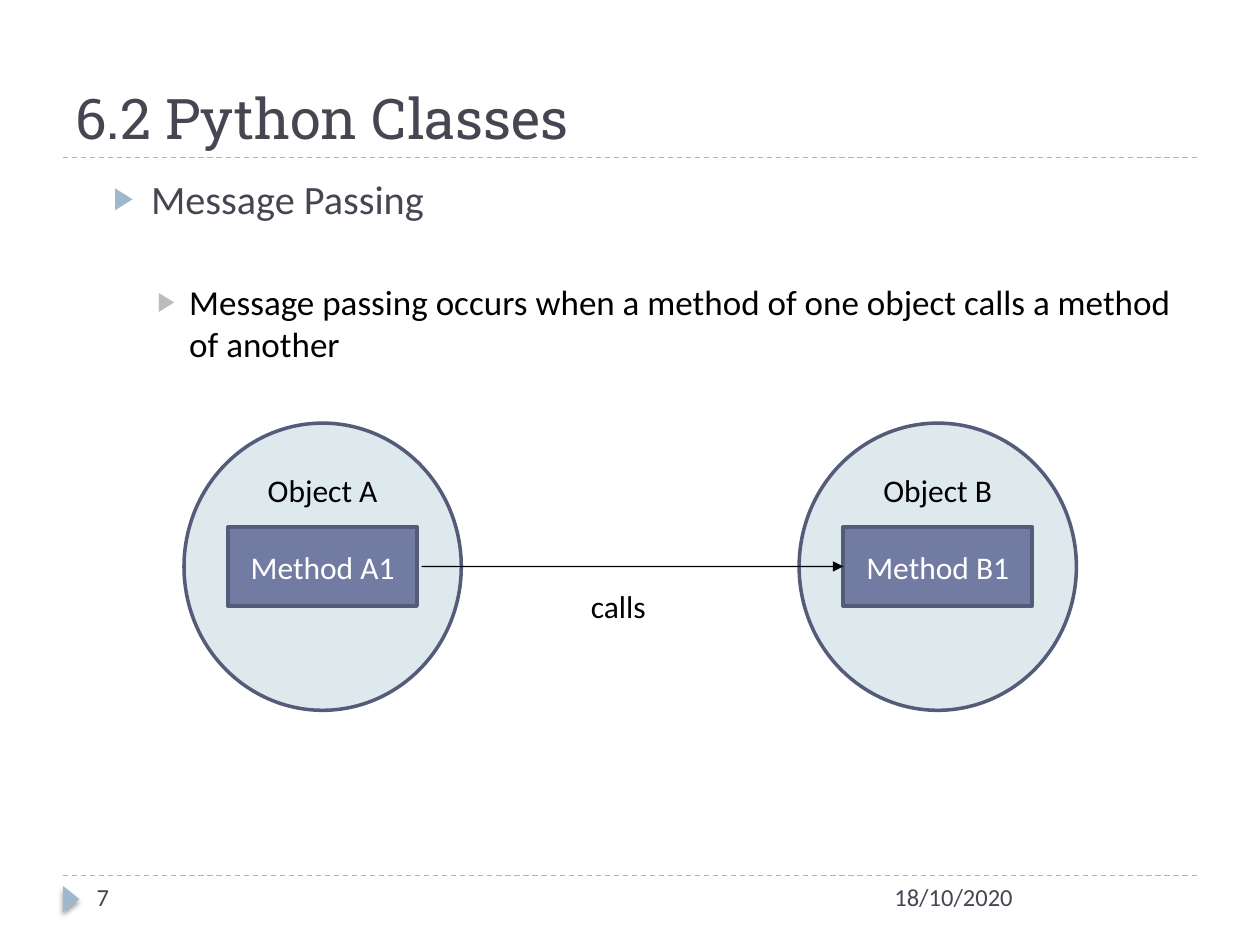
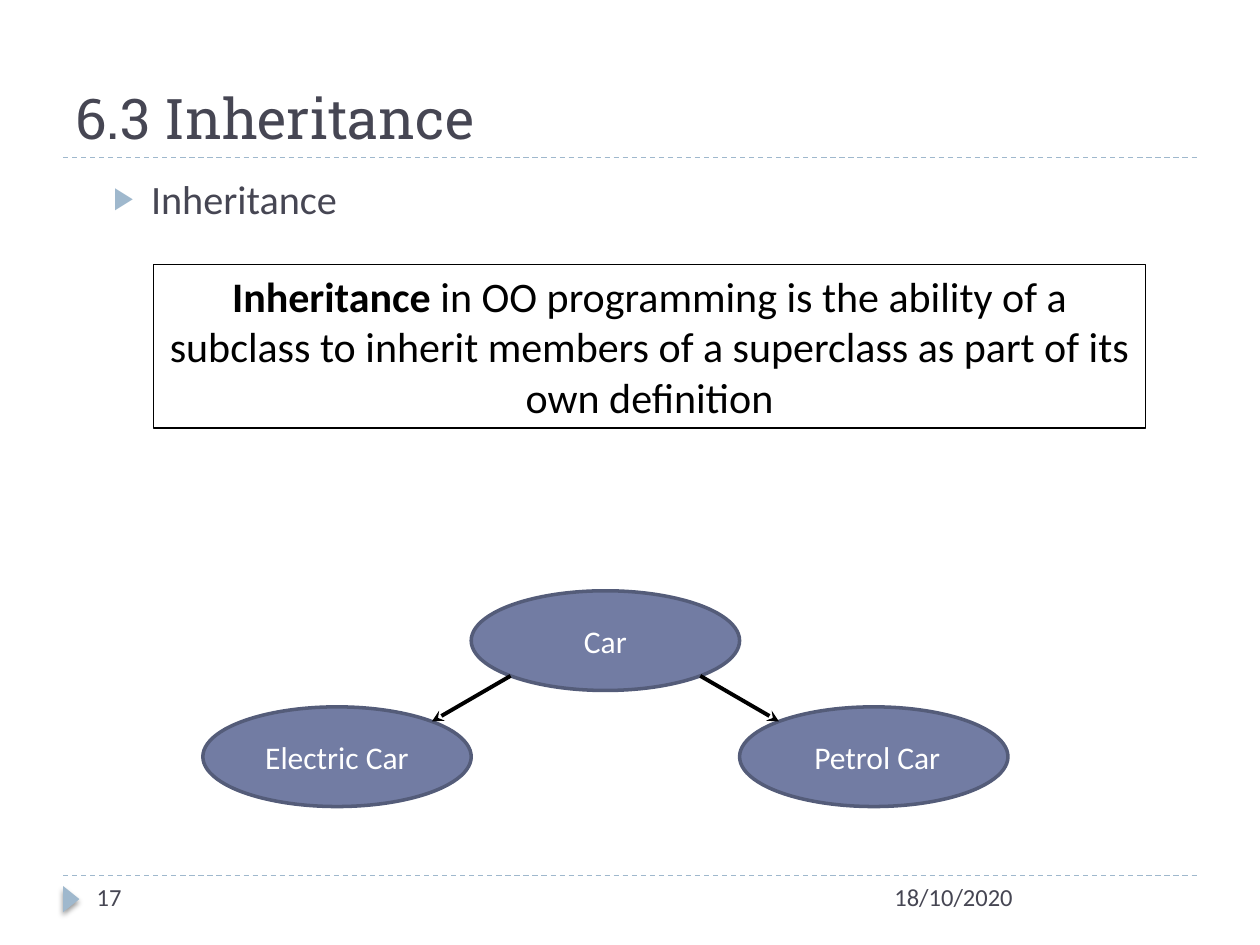
"""Build two lesson slides on message passing and inheritance."""
from dataclasses import dataclass
from math import sqrt

from lxml.etree import SubElement as Sub
from pptx import Presentation
from pptx.dml.color import RGBColor as Rgb
from pptx.enum.dml import MSO_LINE_DASH_STYLE as Dash
from pptx.enum.shapes import MSO_CONNECTOR as Link, MSO_SHAPE as Kind
from pptx.enum.text import MSO_ANCHOR as Anchor, MSO_AUTO_SIZE as Fit, PP_ALIGN as Align
from pptx.oxml.ns import qn
from pptx.util import Cm, Pt


@dataclass(frozen=True)
class Theme:
    head: str = "Roboto Slab"
    text: str = "Calibri"
    ink: str = "464653"
    black: str = "000000"
    white: str = "FFFFFF"
    sky: str = "9FB8CD"
    grey: str = "BCBCBC"
    pale: str = "DDE9EC"
    blue: str = "727CA3"
    edge: str = "545C79"
    title: int = 32
    quote: int = 24
    topic: int = 23
    point: int = 20
    label: int = 18
    foot: int = 14


class Deck:
    def __init__(self, theme):
        self.theme = theme
        self.prs = Presentation()
        self.prs.slide_width, self.prs.slide_height = Cm(25.4), Cm(19.05)
        self.slide = None

    def start(self, title, num):
        t = self.theme
        self.slide = self.prs.slides.add_slide(self.prs.slide_layouts[1])
        for y in (17.65, 3.18):
            self.line((1.27, y), (24.13, y), t.sky, 0.75, dash=Dash.DASH)
        self.mark()
        head = self.slide.shapes.title
        self.place(head, (1.27, 0.43, 22.86, 2.74))
        para = self.frame(head, Anchor.BOTTOM).paragraphs[0]
        para.alignment = Align.LEFT
        self.run(para, title, t.title, t.ink, t.head)
        self.note("18/10/2020", (17.78, 17.65, 6.35, 1.02), t.foot, t.ink)
        self.note(num, (1.7, 17.65, 5.51, 1.02), t.foot, t.ink)

    def place(self, shape, box):
        shape.left, shape.top, shape.width, shape.height = map(Cm, box)

    def frame(self, shape, anchor=Anchor.TOP):
        frame = shape.text_frame
        frame.word_wrap = True
        frame.auto_size = Fit.NONE
        frame.vertical_anchor = anchor
        return frame

    def run(self, para, text, size, color, font=None, bold=False):
        run = para.add_run()
        run.text = text
        run.font.name = font or self.theme.text
        run.font.size = Pt(size)
        run.font.bold = bold
        run.font.color.rgb = Rgb.from_string(color)

    def mark(self):
        tri = self.shape(Kind.ISOSCELES_TRIANGLE, (1.17, 17.96, 0.53, 0.33), self.theme.sky)
        tri.rotation = 90
        glow = Sub(tri.element.spPr.find(qn("a:effectLst")), qn("a:outerShdw"),
                   blurRad=str(Pt(3)), dist=str(Pt(2)), dir="5400000", rotWithShape="0")
        tint = Sub(glow, qn("a:srgbClr"), val=self.theme.black)
        Sub(tint, qn("a:alpha"), val="40000")

    def list(self, items):
        t = self.theme
        body = self.slide.placeholders[1]
        self.place(body, (1.27, 3.38, 22.86, 13.72))
        frame = self.frame(body)
        looks = {1: (1.52, -0.76, t.sky, t.topic, t.ink),
                 2: (2.29, -0.64, t.grey, t.point, t.black)}
        for i, (level, text, gap) in enumerate(items):
            para = frame.add_paragraph() if i else frame.paragraphs[0]
            left, hang, tint, size, color = looks[level]
            para.level = level
            para.space_before = Pt(gap)
            props = para._p.get_or_add_pPr()
            props.set("marL", str(Cm(left)))
            props.set("indent", str(Cm(hang)))
            Sub(Sub(props, qn("a:buClr")), qn("a:srgbClr"), val=tint)
            Sub(props, qn("a:buSzPct"), val="76000")
            Sub(props, qn("a:buFont"), typeface=t.text)
            Sub(props, qn("a:buChar"), char="▶")
            self.run(para, text, size, color)

    def note(self, text, box, size, color):
        area = self.slide.shapes.add_textbox(*map(Cm, box))
        self.run(self.frame(area).paragraphs[0], text, size, color)

    def shape(self, kind, box, fill=None, edge=None, width=2):
        shape = self.slide.shapes.add_shape(kind, *map(Cm, box))
        shape.shadow.inherit = False
        if fill:
            shape.fill.solid()
            shape.fill.fore_color.rgb = Rgb.from_string(fill)
        else:
            shape.fill.background()
        if edge:
            shape.line.color.rgb = Rgb.from_string(edge)
            shape.line.width = Pt(width)
        else:
            shape.line.fill.background()
        return shape

    def label(self, shape, runs, size, color, anchor=Anchor.MIDDLE):
        para = self.frame(shape, anchor).paragraphs[0]
        para.alignment = Align.CENTER
        for text, bold in runs:
            self.run(para, text, size, color, bold=bold)

    def node(self, kind, box, text):
        t = self.theme
        node = self.shape(kind, box, t.blue, t.edge)
        self.label(node, [(text, False)], t.label, t.white)
        return node

    def line(self, start, end, color, width, dash=None, tip=None):
        line = self.slide.shapes.add_connector(Link.STRAIGHT, *map(Cm, start + end))
        line.line.color.rgb = Rgb.from_string(color)
        line.line.width = Pt(width)
        if dash:
            line.line.dash_style = dash
        props = line.element.spPr
        if tip:
            Sub(props.find(qn("a:ln")), qn("a:tailEnd"), type=tip)
        Sub(props, qn("a:effectLst"))
        return line


def calls(deck):
    t = deck.theme
    deck.start("6.2 Python Classes", "7")
    deck.list([(1, "Message Passing", 5),
               (2, "Message passing occurs when a method of one object calls a method of another", 33)])
    step = 12.4
    for i, name in enumerate("AB"):
        disc = deck.shape(Kind.OVAL, (3.71 + i * step, 8.53, 5.59, 5.79), t.pale, t.edge)
        deck.label(disc, [(f"Object {name}", False)], t.label, t.black, Anchor.TOP)
        node = deck.node(Kind.RECTANGLE, (4.6 + i * step, 10.62, 3.81, 1.6), f"Method {name}1")
    arrow = deck.line((8.5, 11.42), (17, 11.42), t.black, 0.75, tip="triangle")
    arrow.end_connect(node, 1)
    deck.note("calls", (11.66, 11.71, 2.21, 1.02), t.label, t.black)


def heirs(deck):
    t = deck.theme
    deck.start("6.3 Inheritance", "17")
    deck.list([(1, "Inheritance", 5)])
    wide, high = 5.41, 2.01
    left, top, low = 9.5, 11.91, 14.25
    deck.node(Kind.OVAL, (left, top, wide, high), "Car")
    mid = left + wide / 2
    dx, dy = wide / sqrt(8), high / sqrt(8)
    for side, name in ((-1, "Electric Car"), (1, " Petrol Car")):
        deck.node(Kind.OVAL, (left + side * wide, low, wide, high), name)
        deck.line((mid + side * dx, top + high / 2 + dy),
                  (mid + side * (wide - dx), low + high / 2 - dy),
                  t.black, 2.25, tip="stealth")
    box = deck.shape(Kind.RECTANGLE, (3.1, 5.33, 19.99, 3.3), edge=t.black, width=0.75)
    deck.label(box, [("Inheritance", True),
                     (" in OO programming is the ability of a subclass to inherit "
                      "members of a superclass as part of its own definition", False)],
               t.quote, t.black, Anchor.TOP)


def main():
    deck = Deck(Theme())
    calls(deck)
    heirs(deck)
    deck.prs.save("out.pptx")


if __name__ == "__main__":
    main()
